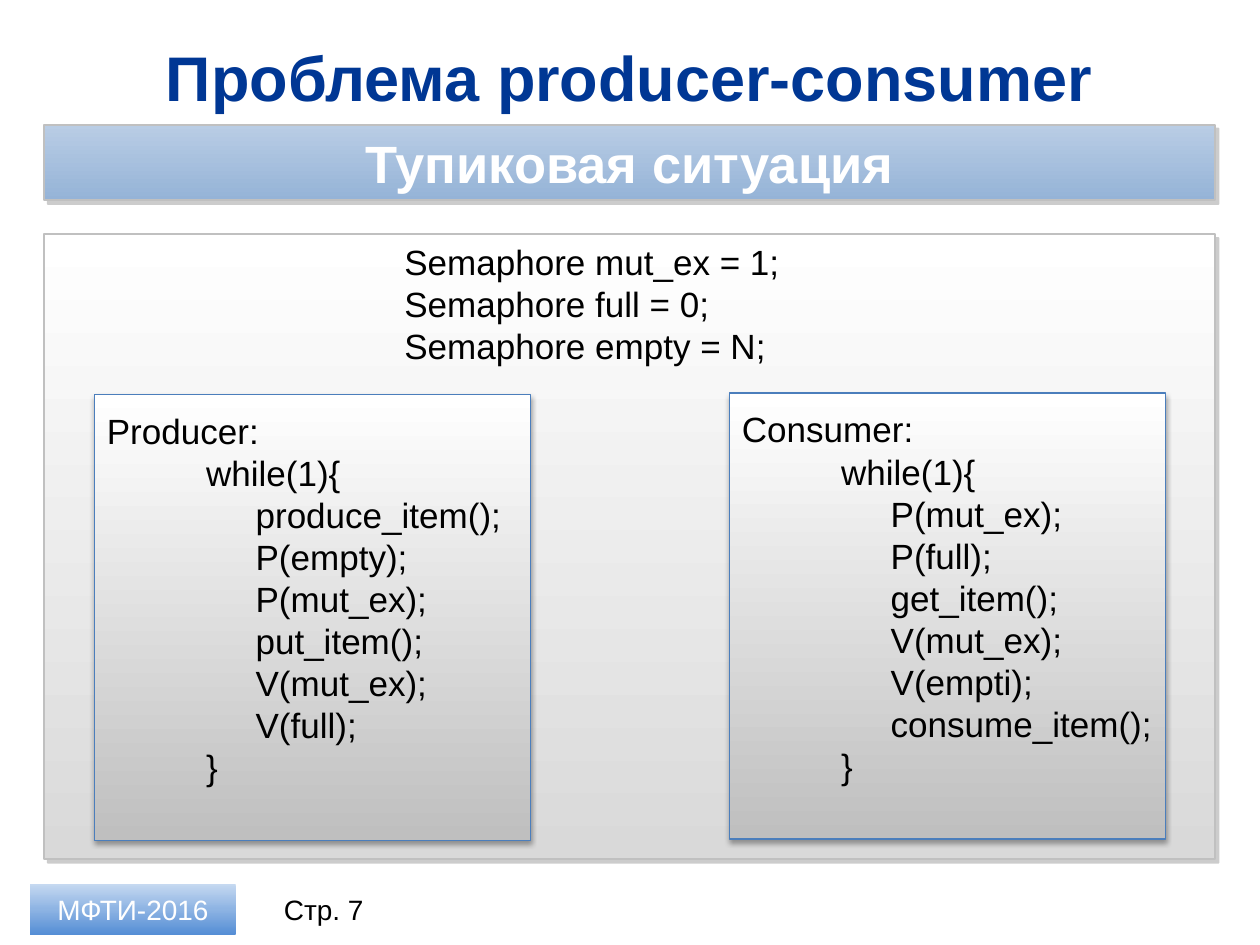
from lxml import etree
from pptx import Presentation
from pptx.dml.color import RGBColor as RGB
from pptx.enum.shapes import MSO_SHAPE as Kind
from pptx.enum.text import MSO_ANCHOR as Anchor, PP_ALIGN as Align
from pptx.oxml import parse_xml
from pptx.oxml.ns import qn
from pptx.util import Pt

NAVY, BLACK, WHITE = RGB(0, 0x37, 0x94), RGB(0, 0, 0), RGB(255, 255, 255)
SILVER, BLUE = RGB(0xC0, 0xC0, 0xC0), RGB(0x4B, 0x7E, 0xBC)
LIGHT, GRAY = RGB(0xD9, 0xD9, 0xD9), RGB(0xBF, 0xBF, 0xBF)
SKY, STEEL = RGB(0xB9, 0xCD, 0xE5), RGB(0x95, 0xB3, 0xD7)
PALE, MID, DEEP = RGB(0xC6, 0xD9, 0xF1), RGB(0x8E, 0xB4, 0xE3), RGB(0x55, 0x8E, 0xD5)
NS = 'xmlns:a="http://schemas.openxmlformats.org/drawingml/2006/main"'
# Shadows: colour, opacity %, blur, distance, angle
FLAT = (RGB(0x80, 0x80, 0x80), 40, 0, 3, 45)
SOFT = (BLACK, 35, 3.1, 1.8, 90)

deck = Presentation()
deck.slide_width, deck.slide_height = Pt(720), Pt(540)
slide = deck.slides.add_slide(deck.slide_layouts[6])


def panel(area, tones, edge=None, width=1, shade=None):
    """Rectangle with a top-to-bottom gradient, optional edge and shadow."""
    box = slide.shapes.add_shape(Kind.RECTANGLE, *map(Pt, area))
    box.shadow.inherit = False
    box.fill.gradient()
    grad = box._element.spPr.find(qn("a:gradFill"))
    last = len(tones) - 1
    stops = "".join(f'<a:gs pos="{100000 * i // last}"><a:srgbClr val="{tone}"/></a:gs>'
                    for i, tone in enumerate(tones))
    grad.getparent().replace(grad, parse_xml(
        f'<a:gradFill {NS} rotWithShape="1"><a:gsLst>{stops}</a:gsLst>'
        '<a:lin ang="5400000" scaled="0"/></a:gradFill>'))
    if edge is None:
        box.line.fill.background()
    else:
        box.line.color.rgb = edge
        box.line.width = Pt(width)
    if shade:
        tone, alpha, blur, dist, angle = shade
        effect = box._element.spPr.find(qn("a:effectLst"))
        effect.append(etree.fromstring(
            f'<a:outerShdw {NS} blurRad="{Pt(blur)}" dist="{Pt(dist)}" '
            f'dir="{angle * 60000}" algn="tl" rotWithShape="0"><a:srgbClr val="{tone}">'
            f'<a:alpha val="{alpha * 1000}"/></a:srgbClr></a:outerShdw>'))
    return box


def write(box, lines, size, color, bold=False, center=True):
    """Fill a shape with (indent, text) lines in one style."""
    frame = box.text_frame
    frame.word_wrap = True
    frame.vertical_anchor = Anchor.MIDDLE if center else Anchor.TOP
    frame.text = "\n".join(text for _, text in lines)
    for para, (indent, _) in zip(frame.paragraphs, lines):
        para.alignment = Align.CENTER if center else Align.LEFT
        if not center:
            para.line_spacing = Pt(24)
        if indent:
            props = para._p.get_or_add_pPr()
            props.set("marL", str(Pt(indent)))
            props.set("indent", "0")
        font = para.runs[0].font
        font.name, font.size, font.bold = "Arial", Pt(size), bold
        font.color.rgb = color


# Title and page number
title = slide.shapes.add_textbox(Pt(25), Pt(19), Pt(669), Pt(49))
write(title, [(0, "Проблема producer-consumer")], 36, NAVY, bold=True)
page = slide.shapes.add_textbox(Pt(146), Pt(505), Pt(78), Pt(29))
write(page, [(0, "Стр. 7")], 16, BLACK)

# Footer badge
badge = panel((17.3, 505, 117.4, 29), (PALE, MID, DEEP))
write(badge, [(0, "МФТИ-2016")], 16, WHITE)

# Heading bar
bar = panel((25.2, 71.3, 669, 43.2), (SKY, STEEL), SILVER, 1, FLAT)
write(bar, [(0, "Тупиковая ситуация")], 30, WHITE, bold=True)

# Main panel with the semaphores
panel((25.2, 133.9, 669, 357.1), (WHITE, LIGHT), SILVER, 1, FLAT)
setup = slide.shapes.add_textbox(Pt(224), Pt(133.9), Pt(272), Pt(80))
write(setup, [(0, "Semaphore mut_ex = 1;"), (0, "Semaphore full = 0;"),
              (0, "Semaphore empty = N;")], 20, BLACK, center=False)

# Code cards
cards = [
    (54, 225.4, "Producer:", ["produce_item();", "P(empty);", "P(mut_ex);",
                              "put_item();", "V(mut_ex);", "V(full);"]),
    (416.9, 224.6, "Consumer:", ["P(mut_ex);", "P(full);", "get_item();",
                                 "V(mut_ex);", "V(empti);", "consume_item();"]),
]
for left, top, name, calls in cards:
    panel((left, top, 249.1, 254.9), (WHITE, GRAY), BLUE, 0.75, SOFT)
    code = slide.shapes.add_textbox(Pt(left), Pt(top + 5), Pt(249.1), Pt(225.4))
    body = [(85, call) for call in calls]
    write(code, [(0, name), (56.7, "while(1){"), *body, (56.7, "}")],
          20, BLACK, center=False)

deck.save("out.pptx")
